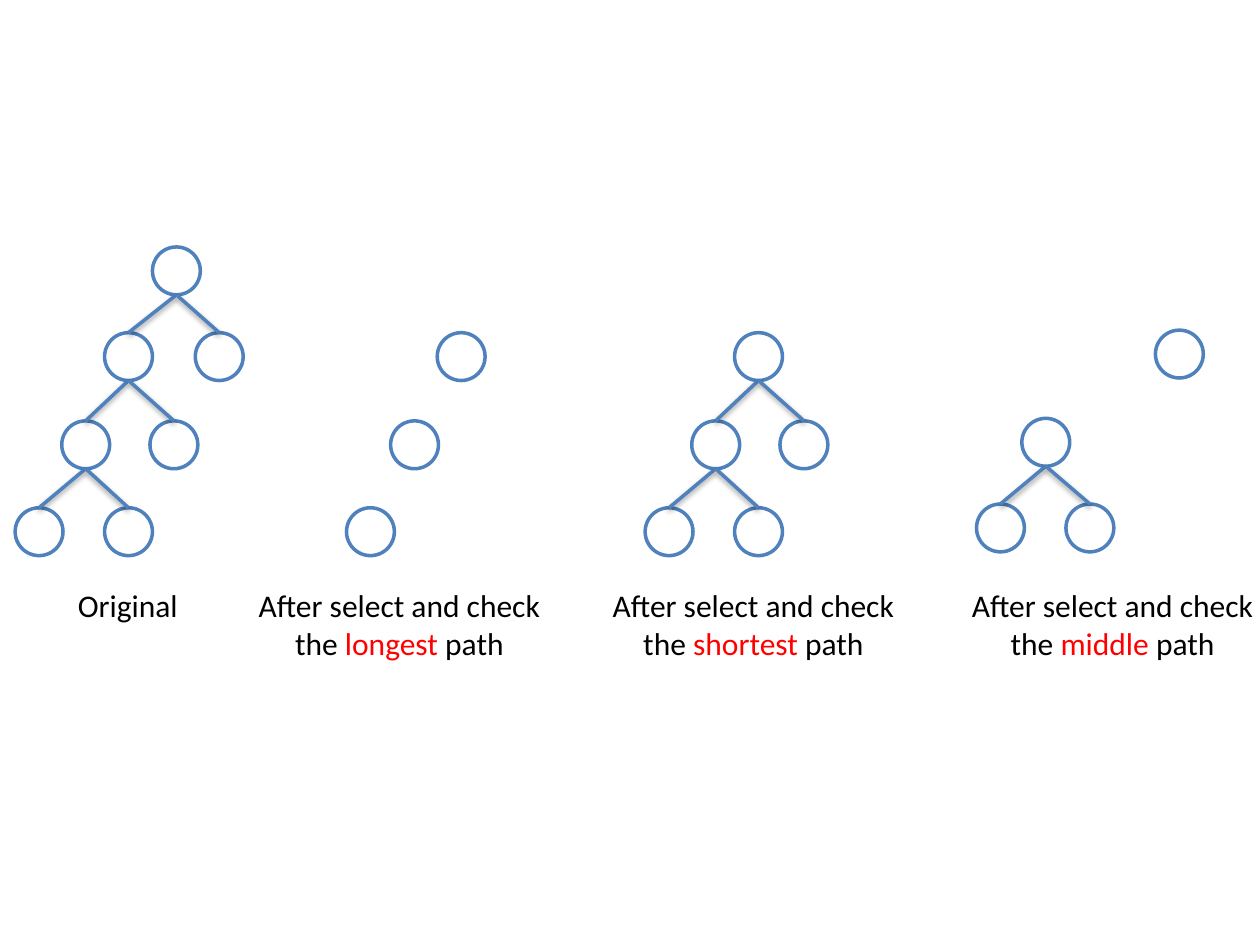
"""Build a slide of a binary tree and what is left after checking each path."""
from pptx import Presentation
from pptx.dml.color import RGBColor
from pptx.enum.shapes import MSO_CONNECTOR, MSO_SHAPE
from pptx.enum.text import MSO_AUTO_SIZE, PP_ALIGN
from pptx.util import Inches, Pt


def paint(color, value):
    color.rgb = RGBColor.from_string(value)


BLUE, WHITE, BLACK, RED = "4F81BD", "FFFFFF", "000000", "FF0000"
SIZE = 0.38
LEAD = "After select and check the "

# Nodes are (left, top, index of parent); captions are (left, width, height, runs).
trees = [
    ([(1.21, 1.96, None), (0.83, 2.64, 0), (0.49, 3.34, 1), (0.12, 4.03, 2),
      (1.19, 3.34, 1), (0.83, 4.03, 2), (1.55, 2.64, 0)],
     (0.52, 1, 0.4, [("Original", BLACK)])),
    ([(3.1, 3.34, None), (2.75, 4.03, None), (3.47, 2.64, None)],
     (1.95, 2.44, 0.71, [(LEAD, BLACK), ("longest", RED), (" path", BLACK)])),
    ([(5.83, 2.64, None), (5.49, 3.34, 0), (5.12, 4.03, 1),
      (6.19, 3.34, 0), (5.83, 4.03, 1)],
     (4.76, 2.44, 0.71, [(LEAD, BLACK), ("shortest", RED), (" path", BLACK)])),
    ([(8.11, 3.32, None), (7.75, 4, 0), (8.46, 4, 0), (9.17, 2.62, None)],
     (7.61, 2.44, 0.71, [(LEAD, BLACK), ("middle ", RED), ("path", BLACK)])),
]

deck = Presentation()
deck.slide_width, deck.slide_height = Inches(10), Inches(7.5)
slide = deck.slides.add_slide(deck.slide_layouts[6])

for nodes, (left, width, height, runs) in trees:
    group = slide.shapes.add_group_shape().shapes

    for x, y, parent in nodes:
        node = group.add_shape(MSO_SHAPE.OVAL, Inches(x), Inches(y),
                               Inches(SIZE), Inches(SIZE))
        node.shadow.inherit = False
        node.fill.solid()
        paint(node.fill.fore_color, WHITE)
        paint(node.line.color, BLUE)
        node.line.width = Pt(2)

    for x, y, parent in nodes:
        if parent is None:
            continue
        px, py = nodes[parent][:2]
        edge = group.add_connector(
            MSO_CONNECTOR.STRAIGHT, Inches(px + SIZE / 2), Inches(py + SIZE),
            Inches(x + SIZE / 2), Inches(y))
        paint(edge.line.color, BLUE)
        edge.line.width = Pt(2)

    frame = group.add_textbox(Inches(left), Inches(4.6), Inches(width),
                              Inches(height)).text_frame
    frame.word_wrap = len(runs) > 1
    frame.auto_size = MSO_AUTO_SIZE.SHAPE_TO_FIT_TEXT
    line = frame.paragraphs[0]
    line.alignment = PP_ALIGN.CENTER if len(runs) > 1 else PP_ALIGN.LEFT
    line.font.size, line.font.name = Pt(18), "Calibri"
    for text, color in runs:
        run = line.add_run()
        run.text = text
        paint(run.font.color, color)

deck.save("out.pptx")
